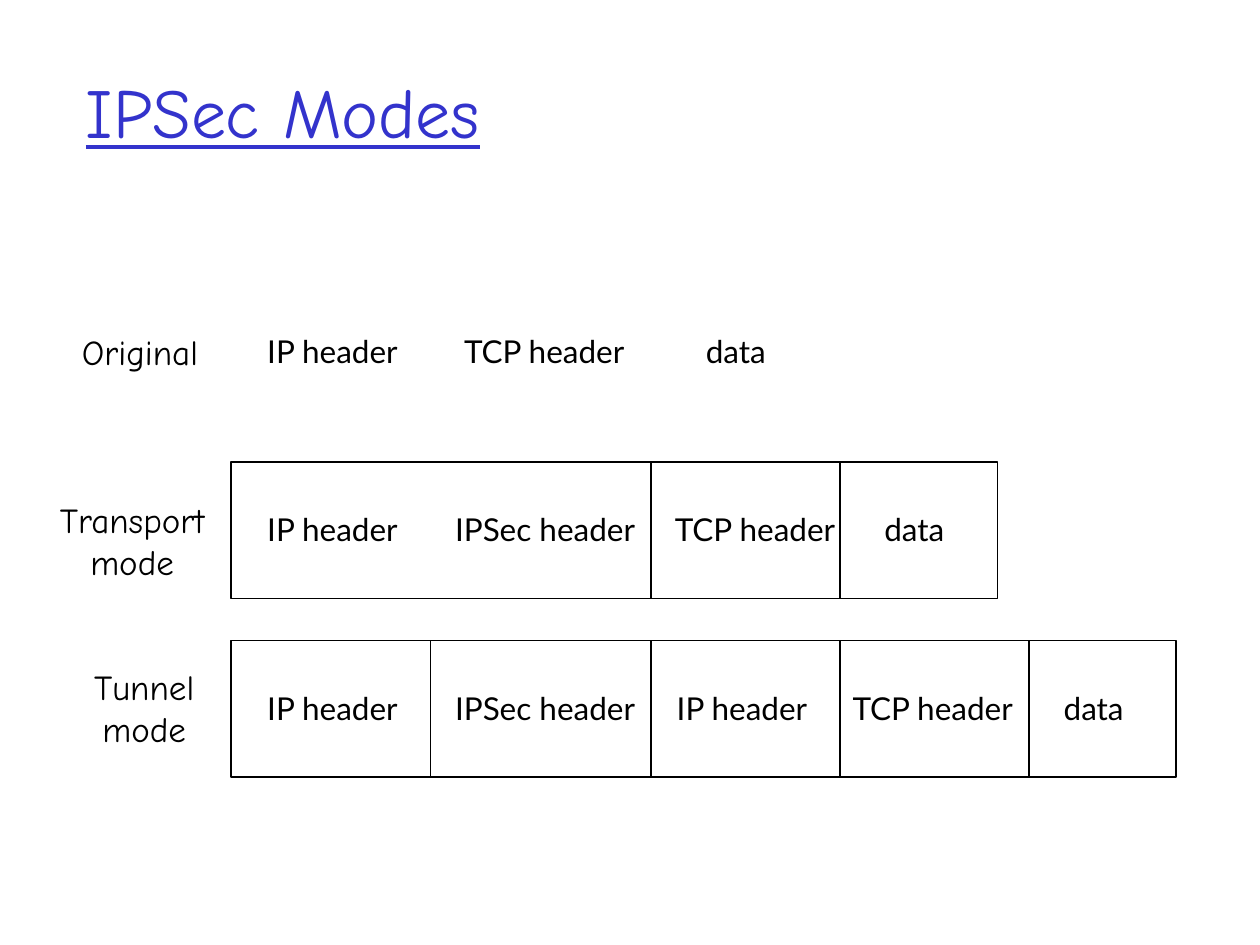
from lxml import etree
from pptx import Presentation
from pptx.dml.color import RGBColor
from pptx.enum.shapes import MSO_CONNECTOR, MSO_SHAPE
from pptx.enum.text import MSO_ANCHOR, MSO_AUTO_SIZE, PP_ALIGN
from pptx.oxml.ns import qn
from pptx.util import Pt

STRAIGHT = MSO_CONNECTOR.STRAIGHT
RECTANGLE = MSO_SHAPE.RECTANGLE
MIDDLE, TOP = MSO_ANCHOR.MIDDLE, MSO_ANCHOR.TOP
FIT_SHAPE, FIXED = MSO_AUTO_SIZE.SHAPE_TO_FIT_TEXT, MSO_AUTO_SIZE.NONE
CENTER, LEFT = PP_ALIGN.CENTER, PP_ALIGN.LEFT

BLACK = RGBColor(0x00, 0x00, 0x00)
WHITE = RGBColor(0xFF, 0xFF, 0xFF)
BLUE = RGBColor(0x33, 0x33, 0xCC)

TITLE_FONT = {"name": "Comic Neue", "size": Pt(40), "underline": True}
LABEL_FONT = {"name": "Comic Neue", "size": Pt(20)}
FIELD_FONT = {"name": "Lato", "size": Pt(18)}

PACKET_LEFT, PACKET_HEIGHT = 132, 78
FIELD_OFFSET, FIELD_HEIGHT = 24, 29
FIELD_WIDTHS = {"IP header": 96, "TCP header": 111, "IPSec header": 125, "data": 52}

PACKETS = [
    {
        "top": 162, "width": 348, "color": WHITE, "weight": 3, "dividers": [246],
        "fields": [("IP header", 190), ("TCP header", 311), ("data", 420.5)],
        "label": ["Original"], "label_box": (39, 185.4, 82, 31.7),
    },
    {
        "top": 264, "width": 438, "color": BLACK, "weight": 0.75, "dividers": [372, 480],
        "fields": [("IP header", 190), ("IPSec header", 311.5), ("TCP header", 431.5),
                   ("data", 522.5)],
        "label": ["Transport", "mode"], "label_box": (26, 281.4, 99, 55.4),
    },
    {
        "top": 366, "width": 540, "color": BLACK, "weight": 0.75,
        "dividers": [246, 372, 480, 588],
        "fields": [("IP header", 190), ("IPSec header", 311.5), ("IP header", 424),
                   ("TCP header", 533), ("data", 625)],
        "label": ["Tunnel", "mode"], "label_box": (44.4, 376.6, 76, 55.4),
    },
]


def add_text(page, box, lines, font, color=BLACK, align=CENTER, anchor=TOP,
             wrap=False, fit=FIT_SHAPE):
    """Place lines of text in a box given in points."""
    frame = page.shapes.add_textbox(*map(Pt, box)).text_frame
    frame.text = "\n".join(lines)
    layout = {"word_wrap": wrap, "auto_size": fit, "vertical_anchor": anchor}
    for name, value in layout.items():
        setattr(frame, name, value)
    for para in frame.paragraphs:
        para.alignment = align
        for span in para.runs:
            for name, value in font.items():
                setattr(span.font, name, value)
            span.font.color.rgb = color


def add_outline(page, box, color, weight):
    """Draw the white rectangle that holds a packet."""
    outline = page.shapes.add_shape(RECTANGLE, *map(Pt, box))
    outline.shadow.inherit = False
    outline.fill.solid()
    outline.fill.fore_color.rgb = WHITE
    outline.line.color.rgb = color
    outline.line.width = Pt(weight)


def add_divider(page, x, top, height, color):
    """Draw a vertical line between two packet fields."""
    divider = page.shapes.add_connector(STRAIGHT, Pt(x), Pt(top), Pt(x), Pt(top + height))
    divider.line.color.rgb = color
    divider.line.width = Pt(0.75)
    etree.SubElement(divider._element.spPr, qn("a:effectLst"))


def add_packet(page, box, packet):
    """Place a packet's outline, dividers and fields in a box."""
    top, height = box[1], box[3]
    add_outline(page, box, packet["color"], packet["weight"])
    for x in packet["dividers"]:
        add_divider(page, x, top, height, packet["color"])
    for text, center in packet["fields"]:
        width = FIELD_WIDTHS[text]
        field_box = (center - width / 2, top + FIELD_OFFSET, width, FIELD_HEIGHT)
        add_text(page, field_box, [text], FIELD_FONT)


def main():
    """Build the slide and save it."""
    deck = Presentation()
    deck.slide_width, deck.slide_height = Pt(720), Pt(540)
    page = deck.slides.add_slide(deck.slide_layouts[6])
    add_text(page, (42, 18, 612, 90), ["IPSec Modes"], TITLE_FONT, BLUE, LEFT, MIDDLE,
             True, FIXED)
    for packet in PACKETS:
        box = (PACKET_LEFT, packet["top"], packet["width"], PACKET_HEIGHT)
        add_packet(page, box, packet)
        add_text(page, packet["label_box"], packet["label"], LABEL_FONT)
    deck.save("out.pptx")


if __name__ == "__main__":
    main()
